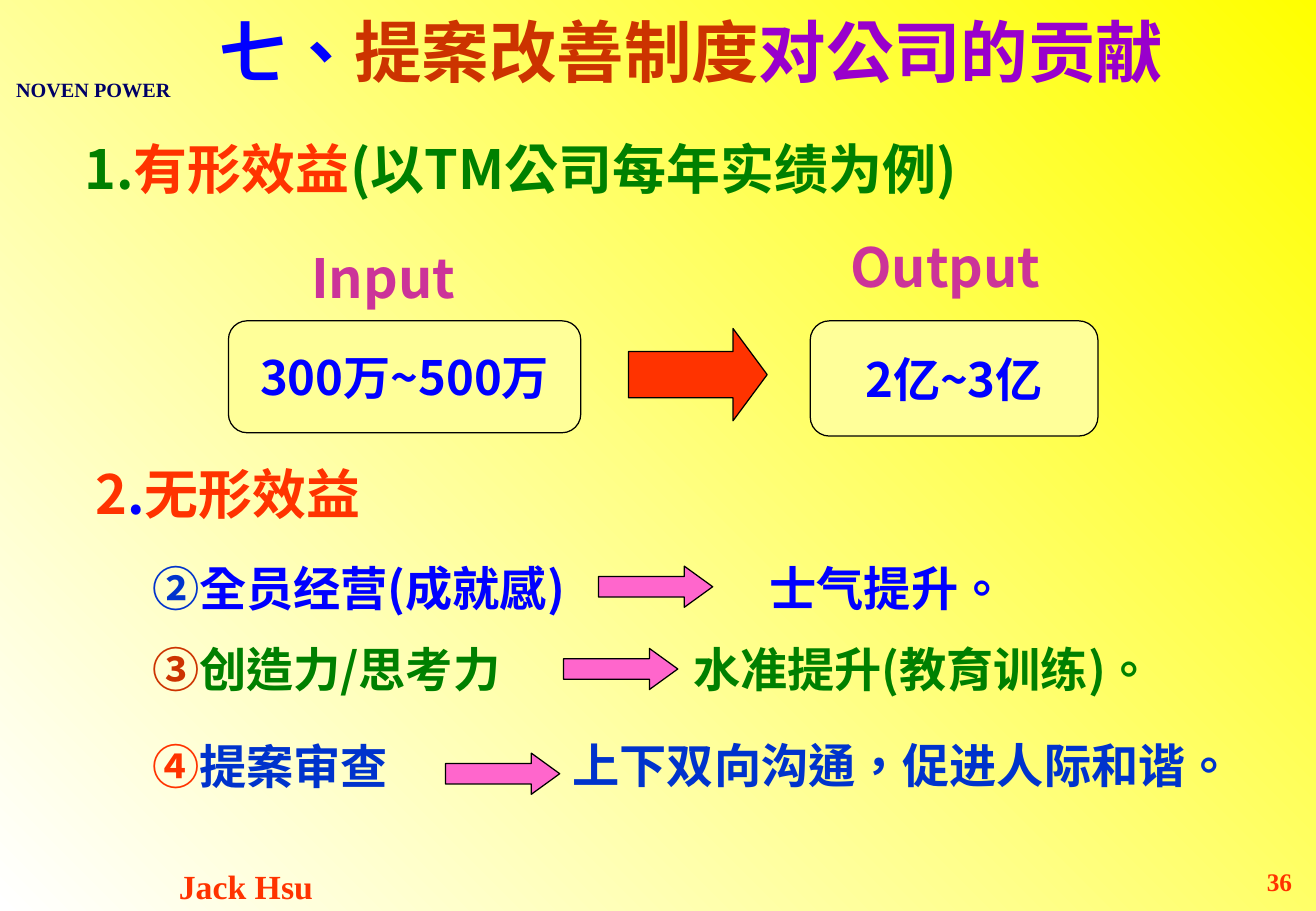
import pptx
import pptx.dml.color
import pptx.enum.shapes
import pptx.enum.text
import pptx.oxml
import pptx.oxml.ns
import pptx.util

Cm, Pt = pptx.util.Cm, pptx.util.Pt
SHAPE = pptx.enum.shapes.MSO_SHAPE
ALIGN = pptx.enum.text.PP_ALIGN
ANCHOR = pptx.enum.text.MSO_ANCHOR

SANS, SERIF, NUMERAL = "Noto Sans CJK TC", "Times New Roman", "Arial"
COLORS = {
    "yellow": "FFFF00", "white": "FFFFFF", "cream": "FFFF99", "black": "000000",
    "orange": "FF3300", "rust": "CC3300", "green": "008000", "blue": "0000FF",
    "royal": "0033CC", "navy": "000066", "purple": "9900CC",
    "magenta": "CC3399", "pink": "FF66CC",
}

# numeral, its colour, text colour, cause, space before (pt)
CAUSES = [
    ("②", "royal", "blue", "全员经营(成就感)", 0),
    ("③", "rust", "green", "创造力/思考力", 8),
    ("④", "orange", "royal", "提案审查", 17),
]
# arrow left and top, effect left and top (cm), colour, effect
EFFECTS = [
    (12.52, 11.84, 16.1, 11.3, "blue", "士气提升。"),
    (11.79, 13.56, 14.5, 13, "green", "水准提升(教育训练)。"),
    (9.32, 15.75, 11.98, 15.01, "royal", "上下双向沟通，促进人际和谐。"),
]


def rgb(name):
    return pptx.dml.color.RGBColor.from_string(COLORS[name])


def set_all(target, values):
    for name, value in values.items():
        setattr(target, name, value)


def place(sp, box):
    set_all(sp, dict(zip(("left", "top", "width", "height"), map(Cm, box))))


def add_run(p, text, color, size, font=SANS):
    """Add a bold run, with the sans face for its East Asian characters."""
    r = p.add_run()
    r.text = text
    set_all(r.font, {"size": Pt(size), "bold": True, "name": font})
    r.font.color.rgb = rgb(color)
    r.font._element.set("lang", "zh-TW")
    ea = pptx.oxml.parse_xml(
        f'<a:ea {pptx.oxml.ns.nsdecls("a")} typeface="{SANS}"/>')
    r.font._element.find(pptx.oxml.ns.qn("a:latin")).addnext(ea)


def set_frame(tf, anchor, wrap=True):
    set_all(tf, {"word_wrap": wrap, "vertical_anchor": anchor,
                 "auto_size": pptx.enum.text.MSO_AUTO_SIZE.NONE})


def write_line(sp, runs, size, font=SANS, align=ALIGN.LEFT,
               anchor=ANCHOR.MIDDLE, wrap=True):
    set_frame(sp.text_frame, anchor, wrap)
    p = sp.text_frame.paragraphs[0]
    p.alignment = align
    for text, color in runs:
        add_run(p, text, color, size, font)


def clear_margins(tf):
    set_all(tf, dict.fromkeys(
        ("margin_left", "margin_top", "margin_right", "margin_bottom"), 0))


def add_label(s, box, runs, size, **options):
    sp = s.shapes.add_textbox(*map(Cm, box))
    write_line(sp, runs, size, **options)
    return sp


def add_flush_label(s, box, runs, size):
    """Add a label whose text starts at the very edge of its box."""
    clear_margins(add_label(s, box, runs, size).text_frame)


def add_outlined(s, kind, box, fill, adjustments):
    sp = s.shapes.add_shape(kind, *map(Cm, box))
    sp.shadow.inherit = False
    sp.fill.solid()
    sp.fill.fore_color.rgb = rgb(fill)
    sp.line.color.rgb = rgb("black")
    sp.line.width = Pt(0.75)
    for i, value in enumerate(adjustments):
        sp.adjustments[i] = value
    return sp


def add_amount(s, box, amount, caption_box, caption):
    add_label(s, caption_box, [(caption, "magenta")], 32,
              align=ALIGN.CENTER, wrap=False)
    sp = add_outlined(s, SHAPE.ROUNDED_RECTANGLE, box, "cream", [0.167])
    write_line(sp, [(amount, "blue")], 28, align=ALIGN.CENTER, wrap=False)


def remove_bullet(p):
    pPr = p._p.get_or_add_pPr()
    pPr.set("marL", "0")
    pPr.set("indent", "0")
    pPr.append(pptx.oxml.parse_xml(
        f'<a:buNone {pptx.oxml.ns.nsdecls("a")}/>'))


def fill_causes(body):
    place(body, (3.18, 11.48, 10, 5.5))
    tf = body.text_frame
    clear_margins(tf)
    set_frame(tf, ANCHOR.TOP)
    for i, (numeral, mark, color, cause, gap) in enumerate(CAUSES):
        p = tf.add_paragraph() if i else tf.paragraphs[0]
        remove_bullet(p)
        set_all(p, {"alignment": ALIGN.LEFT, "line_spacing": Pt(40),
                    "space_before": Pt(gap)})
        add_run(p, numeral, mark, 28, NUMERAL)
        add_run(p, cause, color, 28)


def add_effects(s):
    for arrow_left, arrow_top, left, top, color, effect in EFFECTS:
        add_outlined(s, SHAPE.RIGHT_ARROW, (arrow_left, arrow_top, 2.39, 0.86),
                     "pink", [0.5, 0.69])
        add_flush_label(s, (left, top, 26.98 - left, 1.98),
                        [(effect, color)], 28)


def set_background(s):
    fill = s.background.fill
    fill.gradient()
    fill.gradient_angle = 225
    for stop, color in zip(fill.gradient_stops, ("yellow", "white")):
        stop.color.rgb = rgb(color)


def main():
    prs = pptx.Presentation()
    set_all(prs, {"slide_width": Cm(27.53), "slide_height": Cm(19.05)})
    s = prs.slides.add_slide(prs.slide_layouts[1])
    set_background(s)

    title, body = s.placeholders
    place(title, (2.77, 0, 23.39, 2.11))
    write_line(title, [("七、", "blue"), ("提案改善制度", "rust"),
                       ("对公司的贡献", "purple")],
               40, font=SERIF, align=ALIGN.CENTER)
    add_label(s, (0.15, 1.5, 3.61, 0.76), [("NOVEN POWER", "navy")], 12,
              font=SERIF, align=ALIGN.CENTER, wrap=False)

    add_flush_label(s, (1.77, 2.46, 21.29, 2.11),
                    [("1.", "green"), ("有形效益", "orange"),
                     ("(以TM公司每年实绩为例)", "green")], 32)
    add_amount(s, (4.78, 6.71, 7.37, 2.34), "300万~500万",
               (5.16, 4.62, 5.72, 2.34), "Input")
    add_amount(s, (16.95, 6.71, 6.02, 2.41), "2亿~3亿",
               (16.92, 4.39, 5.72, 2.34), "Output")
    add_outlined(s, SHAPE.RIGHT_ARROW, (13.15, 6.87, 2.9, 1.93), "orange",
                 [0.5, 0.37])

    add_flush_label(s, (2, 9.25, 6.7, 2.11),
                    [("2", "orange"), (".", "blue"), ("无形效益", "orange")], 32)
    fill_causes(body)
    add_effects(s)

    add_label(s, (2.54, 17.98, 5.21, 1.27), [("Jack Hsu", "orange")], 20,
              font=SERIF, align=ALIGN.CENTER, anchor=ANCHOR.TOP)
    add_label(s, (23.85, 17.98, 3.43, 1.27), [("36", "orange")], 15,
              font=SERIF, align=ALIGN.RIGHT, anchor=ANCHOR.TOP)
    prs.save("out.pptx")


if __name__ == "__main__":
    main()
